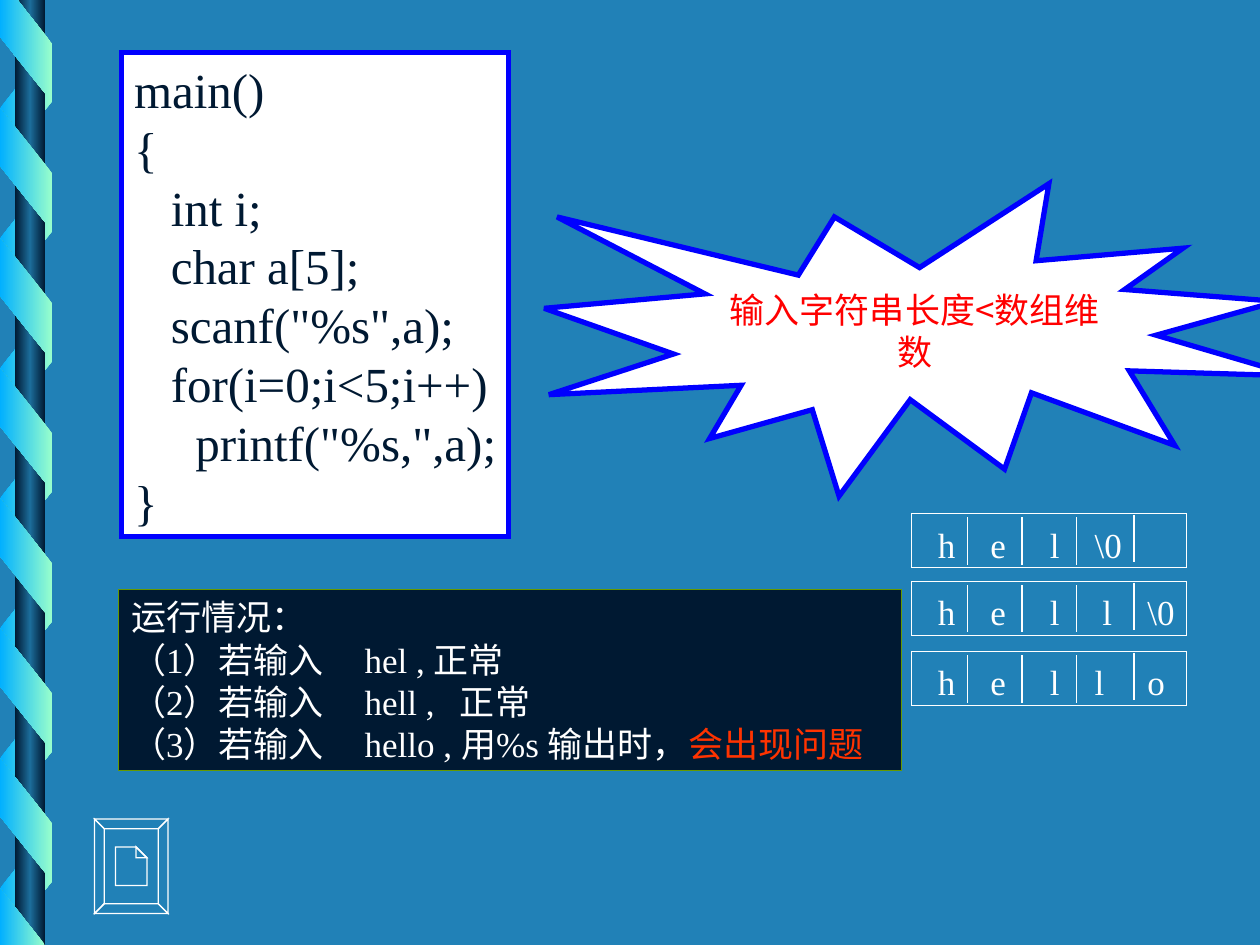
from dataclasses import dataclass

from lxml.etree import SubElement
from pptx import Presentation
from pptx.dml.color import RGBColor
from pptx.enum.shapes import MSO_CONNECTOR, MSO_SHAPE
from pptx.enum.text import MSO_ANCHOR, PP_ALIGN
from pptx.oxml import parse_xml
from pptx.oxml.ns import nsdecls, qn
from pptx.util import Pt


@dataclass(frozen=True)
class Theme:
    """Colours, fonts and type sizes of the slide."""
    back: str = "2181B7"
    navy: str = "001932"
    steel: str = "1C6D9A"
    sky: str = "01B0FF"
    mint: str = "99FFCC"
    white: str = "FFFFFF"
    blue: str = "0000FF"
    green: str = "669900"
    red: str = "FF0000"
    warn: str = "FF3300"
    serif: str = "Times New Roman"
    sans: str = "Noto Sans CJK SC"
    code: int = 28
    body: int = 20
    thin: float = 0.75
    thick: float = 3


THEME = Theme()


def style(shape, fill=None, edge=None, width=THEME.thin):
    """Set the fill and mitred outline of a shape and drop its shadow."""
    shape.shadow.inherit = False
    if fill:
        shape.fill.solid()
        shape.fill.fore_color.rgb = RGBColor.from_string(fill)
    else:
        shape.fill.background()
    if edge:
        shape.line.color.rgb = RGBColor.from_string(edge)
        shape.line.width = Pt(width)
        SubElement(shape.element.spPr.find(qn("a:ln")), qn("a:miter"), lim="800000")
    else:
        shape.line.fill.background()


def blend(shape, *tints):
    """Fill a shape with evenly spaced tints running right to left."""
    style(shape, tints[0])
    grad = parse_xml(f'<a:gradFill {nsdecls("a")} rotWithShape="0"><a:gsLst/>'
                     '<a:lin ang="10800000" scaled="0"/></a:gradFill>')
    for i, tint in enumerate(tints):
        stop = SubElement(grad[0], qn("a:gs"), pos=str(100000 * i // (len(tints) - 1)))
        SubElement(stop, qn("a:srgbClr"), val=tint)
    props = shape.element.spPr
    props.replace(props.find(qn("a:solidFill")), grad)


def add_rect(slide, box, kind=MSO_SHAPE.RECTANGLE):
    """Add a preset shape in a box given in points."""
    return slide.shapes.add_shape(kind, *map(Pt, box))


def trace(slide, *loops):
    """Add one freeform made of closed loops given in points."""
    pen = None
    for loop in loops:
        first, *rest = [(Pt(x), Pt(y)) for x, y in loop]
        if pen:
            pen.move_to(*first)
        else:
            pen = slide.shapes.build_freeform(*first)
        pen.add_line_segments(rest, close=True)
    return pen.convert_to_shape()


def write(shape, lines, size, font=THEME.serif, wrap=False, align=PP_ALIGN.LEFT,
          anchor=MSO_ANCHOR.TOP, stops=()):
    """Write lines of (text, colour) runs into a shape."""
    frame = shape.text_frame
    frame.word_wrap = wrap
    frame.vertical_anchor = anchor
    for i, line in enumerate(lines):
        para = frame.add_paragraph() if i else frame.paragraphs[0]
        para.alignment = align
        if stops:
            tabs = SubElement(para._p.get_or_add_pPr(), qn("a:tabLst"))
            for stop in stops:
                SubElement(tabs, qn("a:tab"), pos=str(Pt(stop)), algn="l")
        for text, tint in line:
            run = para.add_run()
            run.text = text
            run.font.size = Pt(size)
            run.font.name = font
            run.font.color.rgb = RGBColor.from_string(tint)
            SubElement(run._r.get_or_add_rPr(), qn("a:ea"), typeface=THEME.sans)


def add_band(slide, x, y, turn, flip, tints):
    """Add one slanted band of the ribbon."""
    band = add_rect(slide, (x, y, 70.5, 30), MSO_SHAPE.PARALLELOGRAM)
    band.adjustments[0] = 1.25
    band.rotation = turn
    if flip:
        band.element.spPr.find(qn("a:xfrm")).set("flipH", "1")
    blend(band, *tints)


def add_spiral(slide, x, y, high):
    """Draw the pole and the ribbon wound around it."""
    step = 74.3
    for i in range(7):
        add_band(slide, x - 20.2, y + 44.6 + i * step, 90, True, (THEME.sky, THEME.mint))
    blend(add_rect(slide, (x + 8.6, y, 17.2, high)), THEME.navy, THEME.steel, THEME.navy)
    front = THEME.mint, THEME.sky
    for i in range(6):
        add_band(slide, x - 20.2, y + 82.1 + i * step, 270, False, front)
    top = (0, 0), (0, 21), (29.8, 58.3), (29.8, 25), (10, 0)
    end = (25.8, high), (0, high - 32.4), (0, high)
    for loop in (top, end):
        blend(trace(slide, [(x + a, y + b) for a, b in loop]), *front)


def add_code(slide, box):
    """Show the program listing."""
    panel = add_rect(slide, box)
    style(panel, THEME.white, THEME.blue, THEME.thick)
    code = ("main()", "{", "   int i;", "   char a[5];", '   scanf("%s",a);',
            "   for(i=0;i<5;i++)", '     printf("%s,",a);', "}")
    write(panel, [[(line, THEME.navy)] for line in code], THEME.code,
          anchor=MSO_ANCHOR.MIDDLE)


def add_cases(slide, box):
    """Show what happens for each input."""
    panel = add_rect(slide, box)
    style(panel, THEME.navy, THEME.green)
    cases = ("运行情况：", "（1）若输入\thel , 正常", "（2）若输入\thell ,\t正常",
             "（3）若输入\thello , 用%s 输出时，")
    lines = [[(case, THEME.white)] for case in cases]
    lines[-1].append(("会出现问题", THEME.warn))
    write(panel, lines, THEME.body, stops=(133.5, 188))


def add_cells(slide, box, text, stop):
    """Draw one array as a row of five cells with its letters."""
    x, y, wide, high = box
    for dx, dy in ((32, 2.2), (63, 2.2), (94, 2.2), (127, 0.8)):
        ends = x + dx, y + dy, x + dx, y + dy + 27
        rule = slide.shapes.add_connector(MSO_CONNECTOR.STRAIGHT, *map(Pt, ends))
        rule.line.color.rgb = RGBColor.from_string(THEME.white)
        rule.line.width = Pt(THEME.thin)
        SubElement(rule.element.spPr, qn("a:effectLst"))
    style(add_rect(slide, box), None, THEME.white)
    label = slide.shapes.add_textbox(*map(Pt, (x + 7.9, y + 1.8, wide + 8, high + 0.7)))
    write(label, [[(text, THEME.white)]], THEME.body, stops=(30, 64, stop, 119.7))


def add_button(slide, x, y, wide, high):
    """Draw the bevelled button with a page on it."""
    edge = 5.6
    outer = [(x, y), (x + wide, y), (x + wide, y + high), (x, y + high)]
    inner = [(x + edge, y + edge), (x + wide - edge, y + edge),
             (x + wide - edge, y + high - edge), (x + edge, y + high - edge)]
    sides = [(outer[i - 1], outer[i], inner[i], inner[i - 1]) for i in range(4)]
    left, top, right, low = x + 12, y + 16, x + wide - 12, y + high - 16
    fold = (right - 6.2, top), (right, top + 6.2)
    page = [(left, top), *fold, (right, low), (left, low)]
    flap = [*fold, (right - 6.2, top + 6.2)]
    style(trace(slide, *sides, page, flap), THEME.back, THEME.white)


def add_burst(slide, box):
    """Show the rule on input length in a star burst."""
    burst = add_rect(slide, box, MSO_SHAPE.EXPLOSION1)
    style(burst, THEME.white, THEME.blue, THEME.thick)
    write(burst, [[("输入字符串长度<数组维数", THEME.red)]], THEME.body, THEME.sans,
          True, PP_ALIGN.CENTER, MSO_ANCHOR.MIDDLE)


def main():
    """Build the slide and save it."""
    deck = Presentation()
    deck.slide_width, deck.slide_height = Pt(720), Pt(540)
    slide = deck.slides.add_slide(deck.slide_layouts[6])
    slide.background.fill.solid()
    slide.background.fill.fore_color.rgb = RGBColor.from_string(THEME.back)
    add_spiral(slide, 0, 0, 540)
    add_code(slide, (69.6, 30.2, 221, 276.5))
    add_cases(slide, (67.8, 337, 447.2, 103.5))
    rows = ((293.5, "h\te\tl\t\\0", 89.5), (332.2, "h\te\tl\tl\t\\0", 94),
            (372.3, "h\te\tl\tl\to", 89.5))
    for top, text, stop in rows:
        add_cells(slide, (521, top, 157, 30.8), text, stop)
    add_button(slide, 54, 468, 42, 54)
    add_burst(slide, (311, 105, 429, 178.5))
    deck.save("out.pptx")


if __name__ == "__main__":
    main()
